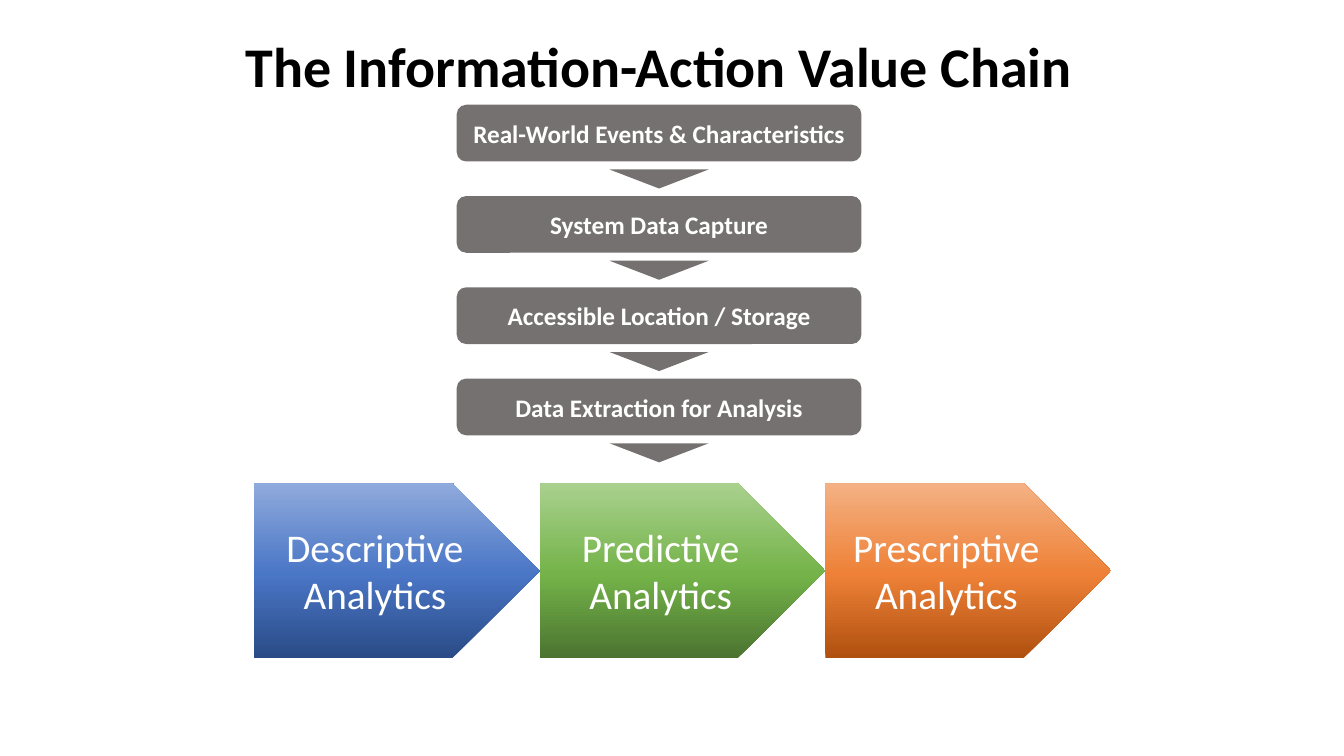
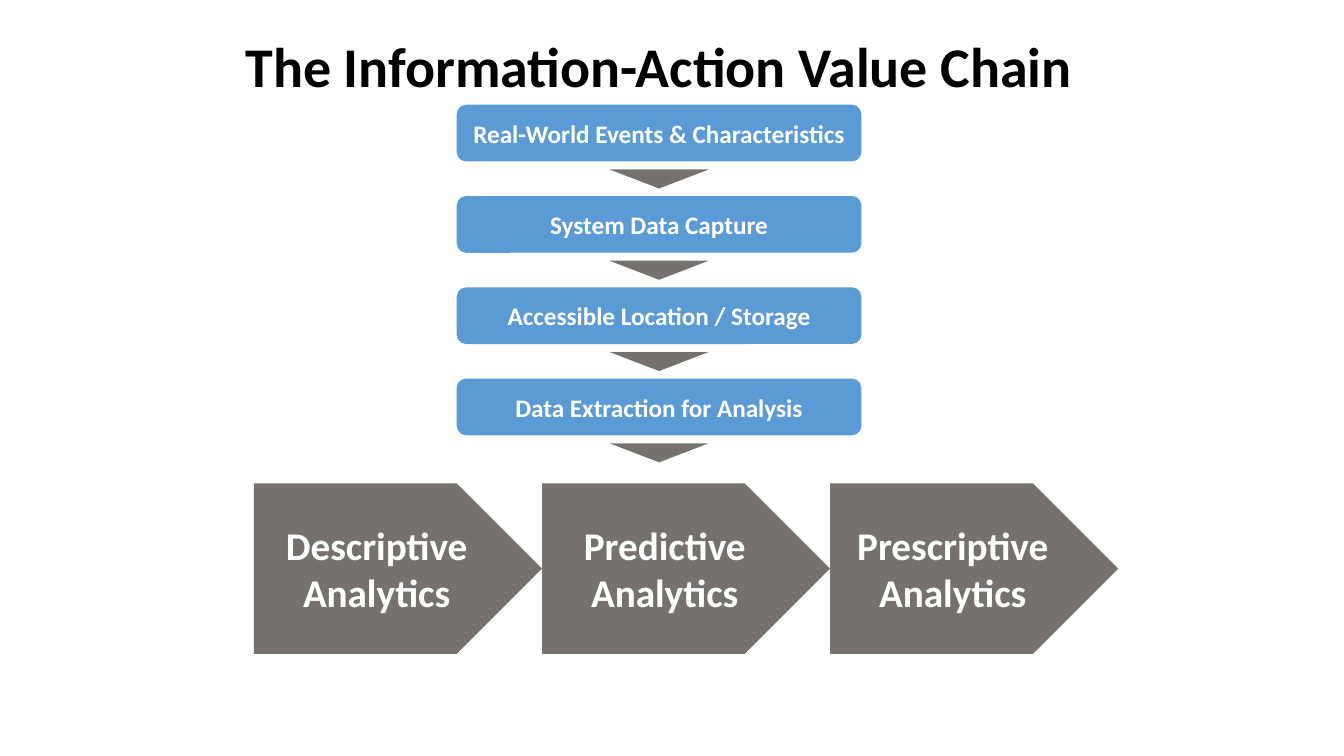
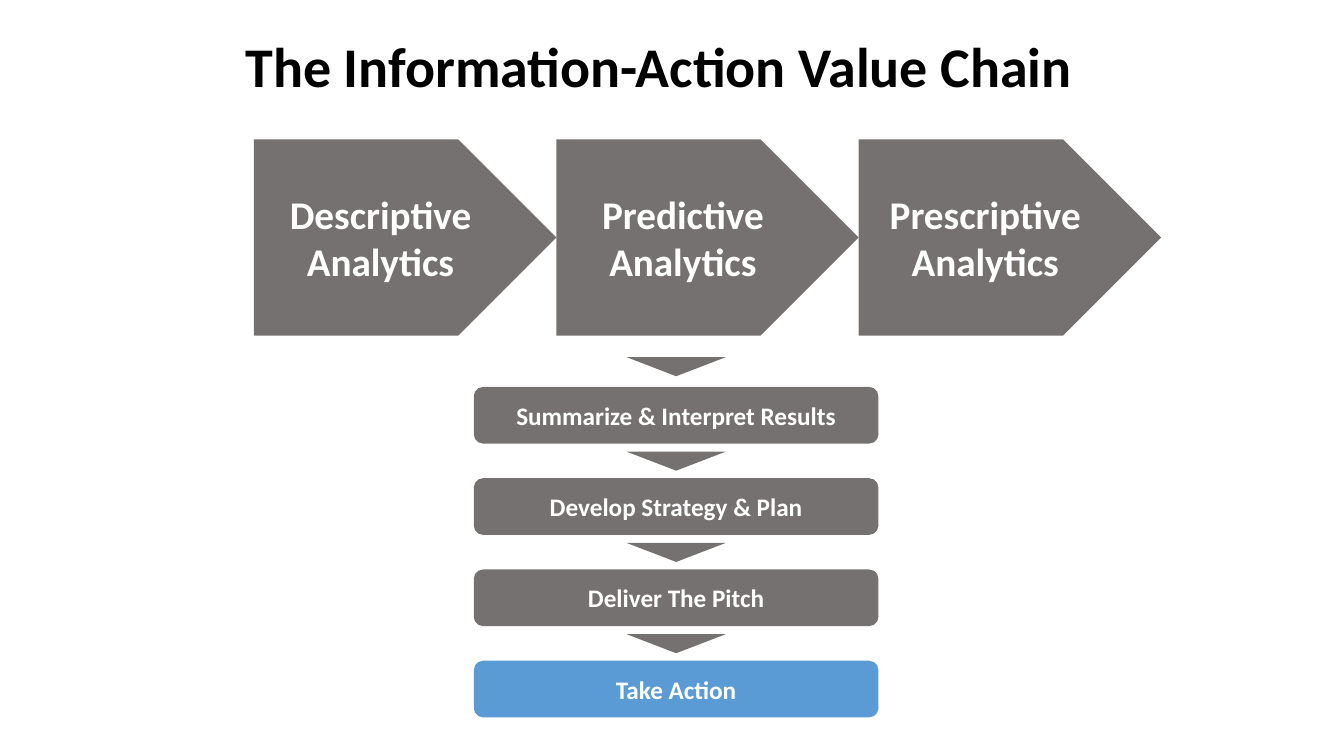
"""Build three slides on the information-action value chain."""
from copy import deepcopy
from dataclasses import dataclass

from pptx import Presentation
from pptx.dml.color import RGBColor
from pptx.enum.shapes import MSO_SHAPE
from pptx.enum.text import MSO_ANCHOR, MSO_AUTO_SIZE, PP_ALIGN
from pptx.oxml.ns import qn
from pptx.util import Cm, Pt

TITLE = "The Information-Action Value Chain"
DATA_STEPS = [
    "Real-World Events & Characteristics",
    "System Data Capture",
    "Accessible Location / Storage",
    "Data Extraction for Analysis",
]
ACTION_STEPS = [
    "Summarize & Interpret Results",
    "Develop Strategy & Plan",
    "Deliver The Pitch",
    "Take Action",
]
STAGES = ["Descriptive Analytics", "Predictive Analytics", "Prescriptive Analytics"]


@dataclass(frozen=True)
class Theme:
    font: str = "Calibri"
    black: str = "000000"
    white: str = "FFFFFF"
    gray: str = "767171"
    blue: str = "5B9BD5"
    gradients: tuple = (
        ("2A4B86", "4A76C6", "8FAADC"),
        ("4B7430", "74B349", "A9D18E"),
        ("B0500F", "EE8137", "F4B183"),
    )
    gradient_stops: tuple = (0, 0.48, 1)
    title_size: int = 40
    stage_size: int = 28
    step_size: int = 18


T = Theme()
GRAY_STAGES = [T.gray] * len(STAGES)

SLIDES = [
    dict(
        steps=dict(texts=DATA_STEPS, fills=[T.gray] * 4, left=11.51, top=2.64),
        stages=dict(fills=T.gradients, top=12.18, width=7.2, height=4.4, bold=False),
    ),
    dict(
        steps=dict(texts=DATA_STEPS, fills=[T.blue] * 4, left=11.51, top=2.64),
        stages=dict(fills=GRAY_STAGES, top=12.18, width=7.26, height=4.3),
    ),
    dict(
        steps=dict(texts=ACTION_STEPS, fills=[T.gray] * 3 + [T.blue],
                   left=11.94, top=9.75, lead_arrow=9),
        stages=dict(fills=GRAY_STAGES, top=3.51, width=7.62, height=4.95),
    ),
]

STAGE_LEFT = 6.4
STEP_W, STEP_H, STEP_PITCH = 10.2, 1.43, 2.3
ARROW_W, ARROW_H, ARROW_GAP = 2.5, 0.48, 0.2


def write(sp, text, *, size, color=T.white, bold=True):
    tf = sp.text_frame
    tf.word_wrap = True
    tf.auto_size = MSO_AUTO_SIZE.NONE
    tf.vertical_anchor = MSO_ANCHOR.MIDDLE
    p = tf.paragraphs[0]
    p.alignment = PP_ALIGN.CENTER
    r = p.add_run()
    r.text = text
    r.font.name = T.font
    r.font.size = Pt(size)
    r.font.bold = bold
    r.font.color.rgb = RGBColor.from_string(color)


def paint(sp, fill):
    if isinstance(fill, str):
        sp.fill.solid()
        sp.fill.fore_color.rgb = RGBColor.from_string(fill)
        return
    sp.fill.gradient()
    sp.fill.gradient_angle = 90
    stops = sp.element.spPr.find(qn("a:gradFill")).find(qn("a:gsLst"))
    stops.append(deepcopy(stops[0]))
    for stop, color, position in zip(sp.fill.gradient_stops, fill, T.gradient_stops):
        stop.color.rgb = RGBColor.from_string(color)
        stop.position = position


def add_shape(group, kind, left, top, width, height, fill):
    sp = group.shapes.add_shape(kind, Cm(left), Cm(top), Cm(width), Cm(height))
    sp.shadow.inherit = False
    sp.line.fill.background()
    paint(sp, fill)
    return sp


def add_steps(s, texts, fills, left, top, lead_arrow=None):
    group = s.shapes.add_group_shape()
    tops = [top + i * STEP_PITCH for i in range(len(texts))]
    for text, fill, y in zip(texts, fills, tops):
        sp = add_shape(group, MSO_SHAPE.ROUNDED_RECTANGLE, left, y, STEP_W, STEP_H, fill)
        write(sp, text, size=T.step_size)
    arrow_tops = [y + STEP_H + ARROW_GAP for y in tops]
    if lead_arrow is not None:
        arrow_tops = [lead_arrow] + arrow_tops[:-1]
    arrow_left = left + (STEP_W - ARROW_W) / 2
    for y in arrow_tops:
        arrow = add_shape(group, MSO_SHAPE.ISOSCELES_TRIANGLE,
                          arrow_left, y, ARROW_W, ARROW_H, T.gray)
        arrow.rotation = 180


def add_stages(s, fills, top, width, height, bold=True):
    group = s.shapes.add_group_shape()
    for i, (text, fill) in enumerate(zip(STAGES, fills)):
        sp = add_shape(group, MSO_SHAPE.PENTAGON,
                       STAGE_LEFT + i * width, top, width, height, fill)
        write(sp, text, size=T.stage_size, bold=bold)


def add_title(s):
    title = s.shapes.title
    title.left, title.top = Cm(4.47), Cm(0.66)
    title.width, title.height = Cm(24.26), Cm(1.96)
    write(title, TITLE, size=T.title_size, color=T.black)


def main():
    prs = Presentation()
    prs.slide_width, prs.slide_height = Cm(33.87), Cm(19.05)
    for content in SLIDES:
        s = prs.slides.add_slide(prs.slide_layouts[5])
        add_title(s)
        add_steps(s, **content["steps"])
        add_stages(s, **content["stages"])
    prs.save("out.pptx")


if __name__ == "__main__":
    main()
